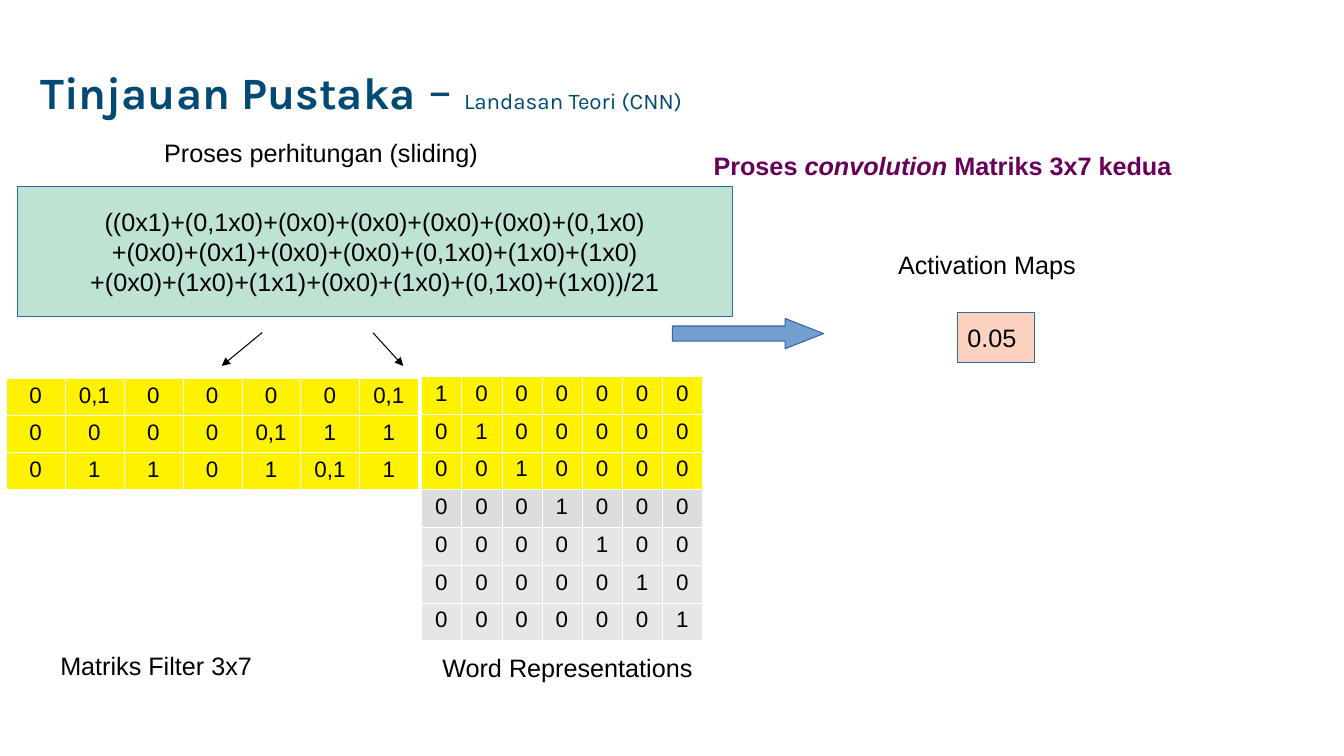
import pptx
import pptx.dml.color
import pptx.enum.shapes
import pptx.enum.text
import pptx.oxml
import pptx.oxml.ns
import pptx.util

Pt = pptx.util.Pt
SHAPE = pptx.enum.shapes.MSO_SHAPE
ALIGN = pptx.enum.text.PP_ALIGN
MIDDLE = pptx.enum.text.MSO_ANCHOR.MIDDLE

COLORS = {
    "title": "014A73", "text": "000000", "heading": "680059", "white": "FFFFFF",
    "yellow": "FFF200", "gray": "DDDDDD", "light": "E6E6E6",
    "green": "BEE3D3", "peach": "FCD3C1", "arrow": "729FCF", "outline": "3465A4",
}
BODY = {"name": "Arial", "size": Pt(18)}
CELL = {"name": "Arial", "size": Pt(16)}
KARLA = {"name": "Karla"}
FILTER = [
    ["0", "0,1", "0", "0", "0", "0", "0,1"],
    ["0", "0", "0", "0", "0,1", "1", "1"],
    ["0", "1", "1", "0", "1", "0,1", "1"],
]
WORDS = [[str(int(row == col)) for col in range(7)] for row in range(7)]
FORMULA = [
    "((0x1)+(0,1x0)+(0x0)+(0x0)+(0x0)+(0x0)+(0,1x0)",
    "+(0x0)+(0x1)+(0x0)+(0x0)+(0,1x0)+(1x0)+(1x0)",
    "+(0x0)+(1x0)+(1x1)+(0x0)+(1x0)+(0,1x0)+(1x0))/21",
]


def rgb(name):
    return pptx.dml.color.RGBColor.from_string(COLORS[name])


def add_run(p, text, fmt, color="text"):
    r = p.add_run()
    r.text = text
    for name, value in fmt.items():
        setattr(r.font, name, value)
    r.font.color.rgb = rgb(color)


def add_title(slide, left, top, width, height):
    sp = slide.shapes.title
    sp.left, sp.top, sp.width, sp.height = map(Pt, (left, top, width, height))
    tf = sp.text_frame
    tf.auto_size = pptx.enum.text.MSO_AUTO_SIZE.NONE
    tf.vertical_anchor = MIDDLE
    p = tf.paragraphs[0]
    p.alignment, p.line_spacing = ALIGN.LEFT, 0.9
    add_run(p, "Tinjauan Pustaka", {**KARLA, "size": Pt(32), "bold": True}, "title")
    add_run(p, " – ", {**KARLA, "size": Pt(36), "bold": False}, "title")
    add_run(p, "Landasan Teori (CNN)", {**KARLA, "size": Pt(16), "bold": False}, "title")


def add_label(slide, box, runs, color="text"):
    tf = slide.shapes.add_textbox(*map(Pt, box)).text_frame
    tf.word_wrap = True
    for text, fmt in runs:
        add_run(tf.paragraphs[0], text, {**BODY, **fmt}, color)


def add_block(slide, kind, box, fill, lines=(), align=ALIGN.LEFT):
    """Add an outlined preset shape with one paragraph per line."""
    sp = slide.shapes.add_shape(kind, *map(Pt, box))
    sp.shadow.inherit = False
    sp.fill.solid()
    sp.fill.fore_color.rgb = rgb(fill)
    sp.line.color.rgb = rgb("outline")
    sp.line.width = Pt(0.75)
    tf = sp.text_frame
    tf.word_wrap = False
    tf.vertical_anchor = MIDDLE
    for i, text in enumerate(lines):
        p = tf.add_paragraph() if i else tf.paragraphs[0]
        p.alignment = align
        add_run(p, text, BODY)
    return sp


def add_pointer(slide, start, end):
    line = slide.shapes.add_connector(
        pptx.enum.shapes.MSO_CONNECTOR.STRAIGHT, *map(Pt, start + end))
    line.line.color.rgb = rgb("text")
    line.line.width = Pt(0.75)
    ln = line.line._get_or_add_ln()
    ln.append(pptx.oxml.parse_xml(
        f'<a:tailEnd {pptx.oxml.ns.nsdecls("a")} type="triangle"/>'))
    line._element.spPr.append(pptx.oxml.parse_xml(
        f'<a:effectLst {pptx.oxml.ns.nsdecls("a")}/>'))


def add_borders(cell):
    tcPr = cell._tc.get_or_add_tcPr()
    for i, side in enumerate(("lnL", "lnR", "lnT", "lnB")):
        tcPr.insert(i, pptx.oxml.parse_xml(
            f'<a:{side} {pptx.oxml.ns.nsdecls("a")} w="{Pt(0.06)}"><a:solidFill>'
            f'<a:srgbClr val="{COLORS["white"]}"/></a:solidFill></a:{side}>'))


def add_matrix(slide, box, values, fills):
    """Add a grid of equal cells, with one fill per row."""
    left, top, width, height = box
    rows, cols = len(values), len(values[0])
    table = slide.shapes.add_table(rows, cols, *map(Pt, box)).table
    for col in table.columns:
        col.width = Pt(width / cols)
    for row, texts, fill in zip(table.rows, values, fills):
        row.height = Pt(height / rows)
        for cell, text in zip(row.cells, texts):
            cell.fill.solid()
            cell.fill.fore_color.rgb = rgb(fill)
            add_borders(cell)
            p = cell.text_frame.paragraphs[0]
            p.alignment = ALIGN.CENTER
            add_run(p, text, CELL)


def add_calculation(slide, left, top):
    """Add the formula with its caption and the pointers to both matrices."""
    add_block(slide, SHAPE.RECTANGLE, (left, top, 511.2, 92.9), "green",
              FORMULA, ALIGN.CENTER)
    add_label(slide, (left + 98, top - 38.9, 289.4, 27.4),
              [("Proses perhitungan (sliding)", {})])
    for x, dx in ((175, -28.8), (254.2, 21.6)):
        add_pointer(slide, (left + x, top + 104.4), (left + x + dx, top + 128.2))


def add_matrices(slide, left, top):
    add_matrix(slide, (left + 296.6, top, 200.9, 189), WORDS,
               ["yellow"] * 3 + ["gray"] + ["light"] * 3)
    add_matrix(slide, (left, top + 1.4, 294.5, 75), FILTER, ["yellow"] * 3)
    add_label(slide, (left + 31.7, top + 192.2, 172.8, 27.4),
              [("Matriks Filter 3x7", {})])
    add_label(slide, (left + 304.6, top + 193.7, 226.1, 27.4),
              [("Word Representations", {})])


def add_result(slide, left, top):
    add_label(slide, (left, top, 403.2, 47.5), [
        ("Proses ", {"bold": True}),
        ("convolution", {"bold": True, "italic": True}),
        (" Matriks 3x7 kedua", {"bold": True}),
    ], "heading")
    arrow = add_block(slide, SHAPE.RIGHT_ARROW,
                      (left - 22.3, top + 123.8, 108, 21.6), "arrow")
    arrow.adjustments[1] = 1.27
    add_label(slide, (left + 131.8, top + 70.6, 185, 27.4), [("Activation Maps", {})])
    add_block(slide, SHAPE.RECTANGLE, (left + 181.4, top + 119.5, 54.7, 36),
              "peach", ["0.05"])


def main():
    prs = pptx.Presentation()
    prs.slide_width, prs.slide_height = Pt(960), Pt(540)
    slide = prs.slides.add_slide(prs.slide_layouts[5])
    add_title(slide, 21.6, 14.4, 540, 104.4)
    add_calculation(slide, 12.2, 133.2)
    add_matrices(slide, 4.3, 268.6)
    add_result(slide, 502.6, 103.7)
    prs.save("out.pptx")


if __name__ == "__main__":
    main()
